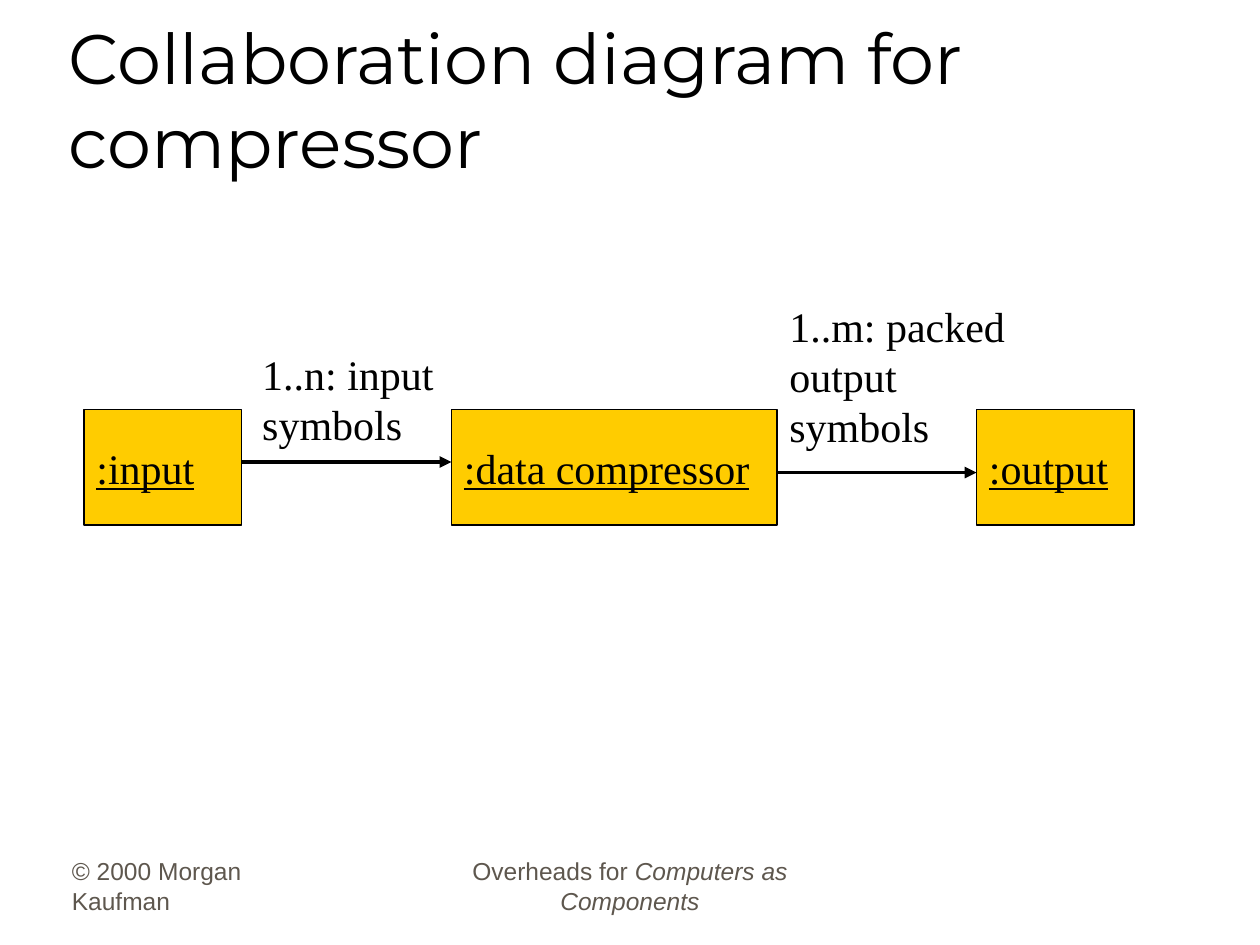
from typing import NamedTuple

from lxml import etree
from pptx import Presentation
from pptx.dml.color import RGBColor
from pptx.enum import shapes, text
from pptx.oxml import ns
from pptx.util import Pt

BLACK = RGBColor(0x00, 0x00, 0x00)
GOLD = RGBColor(0xFF, 0xCC, 0x00)
TAUPE = RGBColor(0x5E, 0x57, 0x4E)
SERIF = "Times New Roman"
SANS = "Arial"
HEAD = "Montserrat"
ROW_TOP, ROW_HIGH = 234, 66
FOOT_TOP, FOOT_HIGH = 490.5, 36
LEFT, CENTER = text.PP_ALIGN.LEFT, text.PP_ALIGN.CENTER


class Node(NamedTuple):
    name: str
    left: float
    width: float

    @property
    def right(self) -> float:
        return self.left + self.width


class Link(NamedTuple):
    start: Node
    end: Node
    y: float
    label: str
    left: float
    top: float
    width: float
    height: float


class Foot(NamedTuple):
    left: float
    width: float
    align: text.PP_ALIGN
    plain: str
    slant: str


SOURCE = Node(":input", 48, 90)
PACKER = Node(":data compressor", 258, 186)
SINK = Node(":output", 558, 90)
NODES = [SOURCE, PACKER, SINK]
LINKS = [
    Link(SOURCE, PACKER, 264, "1..n: input\nsymbols", 142.75, 195.5, 114, 65),
    Link(PACKER, SINK, 270, "1..m: packed\noutput\nsymbols", 444, 168, 139, 94),
]
FEET = [
    Foot(34, 150, LEFT, "© 2000 Morgan Kaufman", ""),
    Foot(246, 228, CENTER, "Overheads for ", "Computers as Components"),
]


def style(frame, face: str, size: float, color: RGBColor,
          align=LEFT, under: bool = False) -> None:
    for para in frame.paragraphs:
        para.alignment = align
        for run in para.runs:
            run.font.name = face
            run.font.size = Pt(size)
            run.font.color.rgb = color
            if under:
                run.font.underline = True


def draw_title(slide, words: str) -> None:
    title = slide.shapes.title
    title.left, title.top = Pt(32), Pt(18)
    title.width, title.height = Pt(612), Pt(90)
    frame = title.text_frame
    frame.text = words
    frame.word_wrap = True
    frame.auto_size = text.MSO_AUTO_SIZE.NONE
    frame.vertical_anchor = text.MSO_ANCHOR.BOTTOM
    style(frame, HEAD, 40, BLACK)


def draw_node(slide, node: Node) -> None:
    box = slide.shapes.add_shape(shapes.MSO_SHAPE.RECTANGLE, Pt(node.left),
                                 Pt(ROW_TOP), Pt(node.width), Pt(ROW_HIGH))
    box.shadow.inherit = False
    box.fill.solid()
    box.fill.fore_color.rgb = GOLD
    box.line.color.rgb = BLACK
    box.line.width = Pt(0.75)
    frame = box.text_frame
    frame.text = node.name
    frame.word_wrap = False
    frame.vertical_anchor = text.MSO_ANCHOR.MIDDLE
    style(frame, SERIF, 24, BLACK, under=True)


def draw_link(slide, link: Link) -> None:
    """Draw the arrow between two nodes and the message above it."""
    arrow = slide.shapes.add_connector(
        shapes.MSO_CONNECTOR.STRAIGHT, Pt(link.start.right), Pt(link.y),
        Pt(link.end.left), Pt(link.y))
    arrow.line.color.rgb = BLACK
    arrow.line.width = Pt(2.25)
    tip = etree.SubElement(arrow.line._get_or_add_ln(), ns.qn("a:tailEnd"))
    tip.set("type", "triangle")
    etree.SubElement(arrow._element.spPr, ns.qn("a:effectLst"))

    label = slide.shapes.add_textbox(Pt(link.left), Pt(link.top),
                                     Pt(link.width), Pt(link.height))
    frame = label.text_frame
    frame.text = link.label
    frame.word_wrap = False
    frame.auto_size = text.MSO_AUTO_SIZE.SHAPE_TO_FIT_TEXT
    style(frame, SERIF, 24, BLACK)


def draw_foot(slide, foot: Foot) -> None:
    box = slide.shapes.add_textbox(Pt(foot.left), Pt(FOOT_TOP),
                                   Pt(foot.width), Pt(FOOT_HIGH))
    frame = box.text_frame
    frame.word_wrap = True
    frame.vertical_anchor = text.MSO_ANCHOR.BOTTOM
    frame.text = foot.plain
    if foot.slant:
        run = frame.paragraphs[0].add_run()
        run.text = foot.slant
        run.font.italic = True
    style(frame, SANS, 14, TAUPE, foot.align)


def main() -> None:
    deck = Presentation()
    deck.slide_width, deck.slide_height = Pt(720), Pt(540)
    slide = deck.slides.add_slide(deck.slide_layouts[5])
    draw_title(slide, "Collaboration diagram for compressor")
    for foot in FEET:
        draw_foot(slide, foot)
    for node in NODES:
        draw_node(slide, node)
    for link in LINKS:
        draw_link(slide, link)
    deck.save("out.pptx")


if __name__ == "__main__":
    main()
